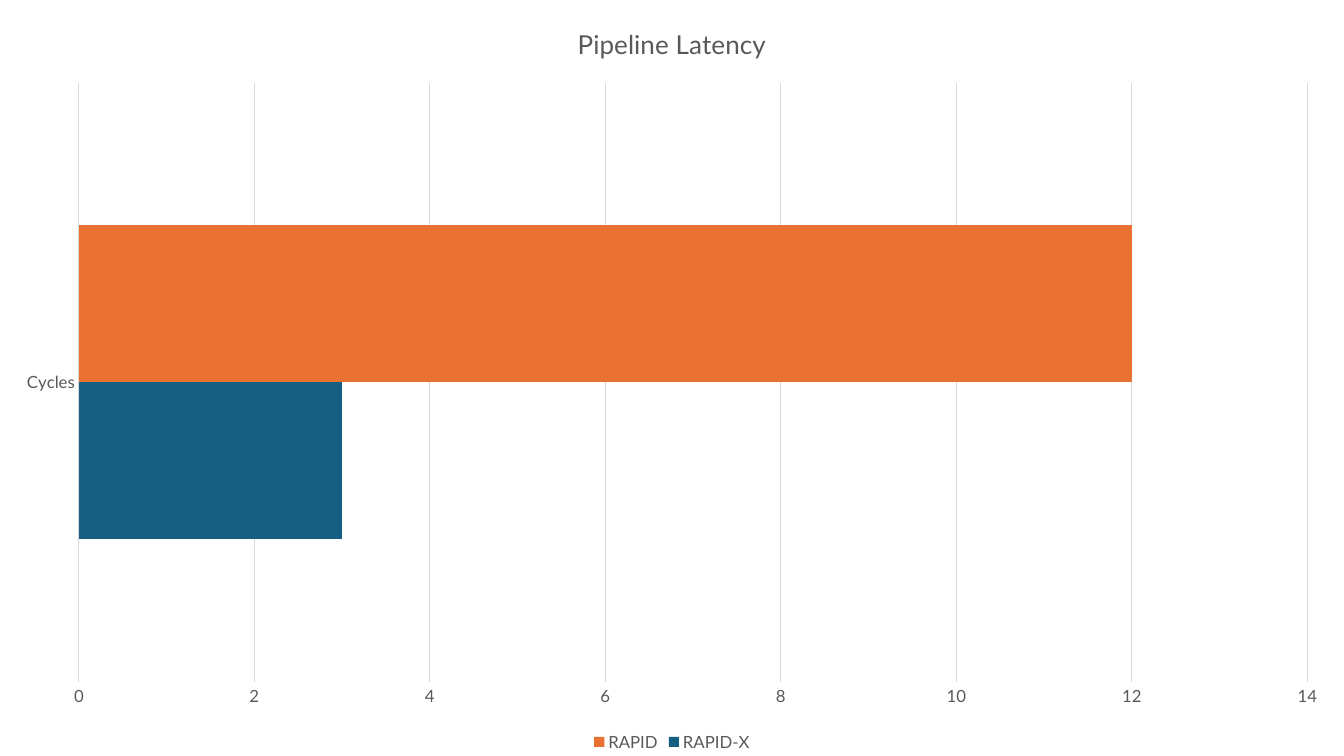
import pptx
import pptx.chart.data
import pptx.dml.color
import pptx.enum.chart
import pptx.util

BLUE = pptx.dml.color.RGBColor(0x15, 0x60, 0x82)
ORANGE = pptx.dml.color.RGBColor(0xE9, 0x71, 0x32)
TEXT_GREY = pptx.dml.color.RGBColor(0x59, 0x59, 0x59)
LINE_GREY = pptx.dml.color.RGBColor(0xD9, 0xD9, 0xD9)


def style_font(font, size):
    font.name = "Lato"
    font.size = pptx.util.Pt(size)
    font.bold = False
    font.color.rgb = TEXT_GREY


def style_line(line):
    line.color.rgb = LINE_GREY
    line.width = pptx.util.Pt(0.75)


deck = pptx.Presentation()
deck.slide_width = pptx.util.Inches(13.33)
deck.slide_height = pptx.util.Inches(7.5)
slide = deck.slides.add_slide(deck.slide_layouts[6])

latency_data = pptx.chart.data.CategoryChartData()
latency_data.categories = ["Cycles"]
latency_data.add_series("RAPID-X", [3])
latency_data.add_series("RAPID", [12])

latency = slide.shapes.add_chart(
    pptx.enum.chart.XL_CHART_TYPE.BAR_CLUSTERED,
    0, 0, deck.slide_width, deck.slide_height, latency_data).chart
style_font(latency.font, 12)

latency.has_title = True
heading = latency.chart_title.text_frame.paragraphs[0].add_run()
heading.text = "Pipeline Latency"
style_font(heading.font, 18.6)
latency.chart_title.include_in_layout = False

latency.has_legend = True
latency.legend.position = pptx.enum.chart.XL_LEGEND_POSITION.BOTTOM
latency.legend.include_in_layout = False
style_font(latency.legend.font, 12)

bars = latency.plots[0]
bars.gap_width = 182
bars.overlap = 0
bars.vary_by_categories = False
for design, color in zip(bars.series, (BLUE, ORANGE)):
    design.format.fill.solid()
    design.format.fill.fore_color.rgb = color
    design.invert_if_negative = False

for axis in (latency.category_axis, latency.value_axis):
    axis.major_tick_mark = pptx.enum.chart.XL_TICK_MARK.NONE
    axis.minor_tick_mark = pptx.enum.chart.XL_TICK_MARK.NONE
    style_font(axis.tick_labels.font, 12)

style_line(latency.category_axis.format.line)
latency.value_axis.format.line.fill.background()
latency.value_axis.has_major_gridlines = True
style_line(latency.value_axis.major_gridlines.format.line)
latency.value_axis.minimum_scale = 0
latency.value_axis.maximum_scale = 14
latency.value_axis.major_unit = 2

deck.save("out.pptx")
